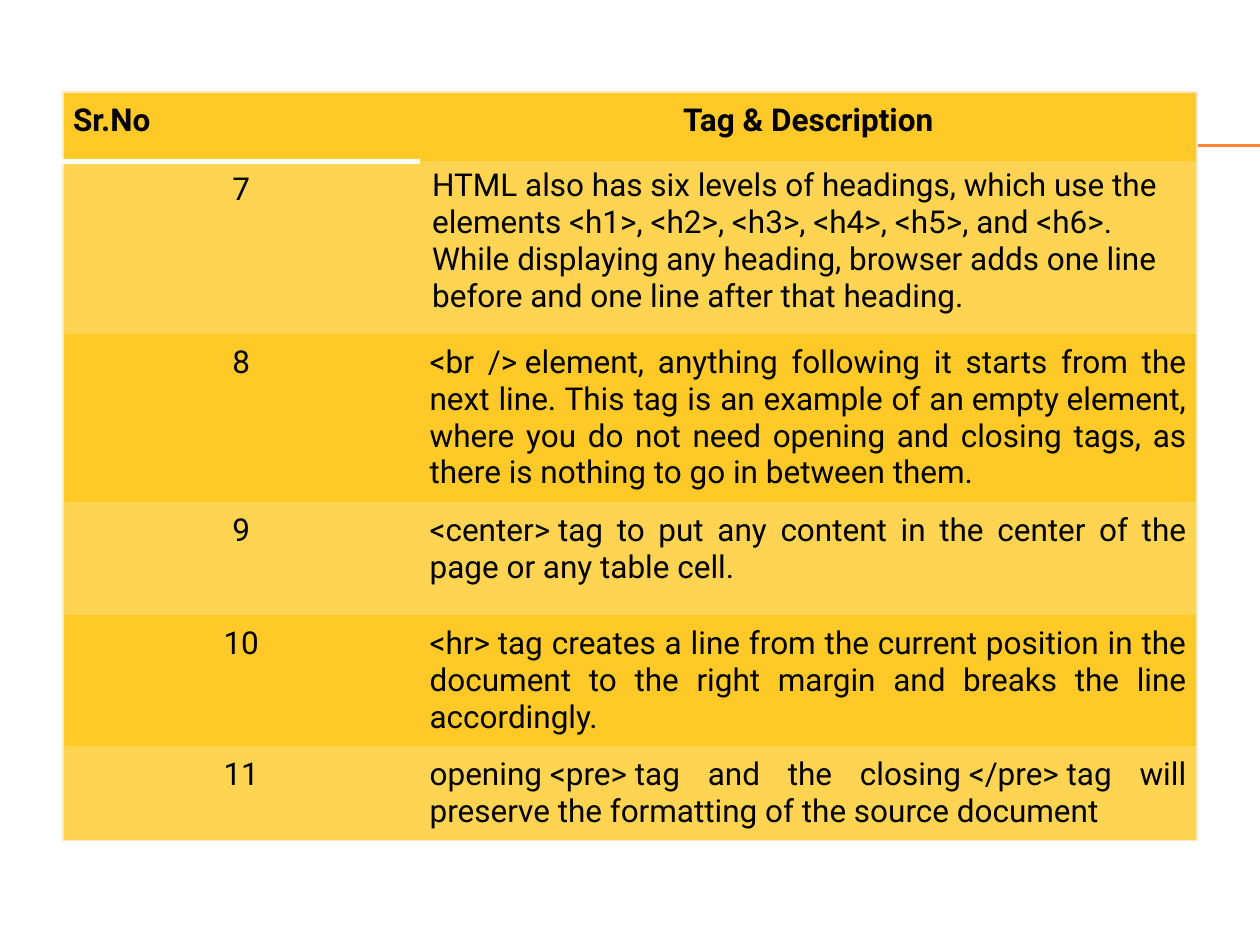
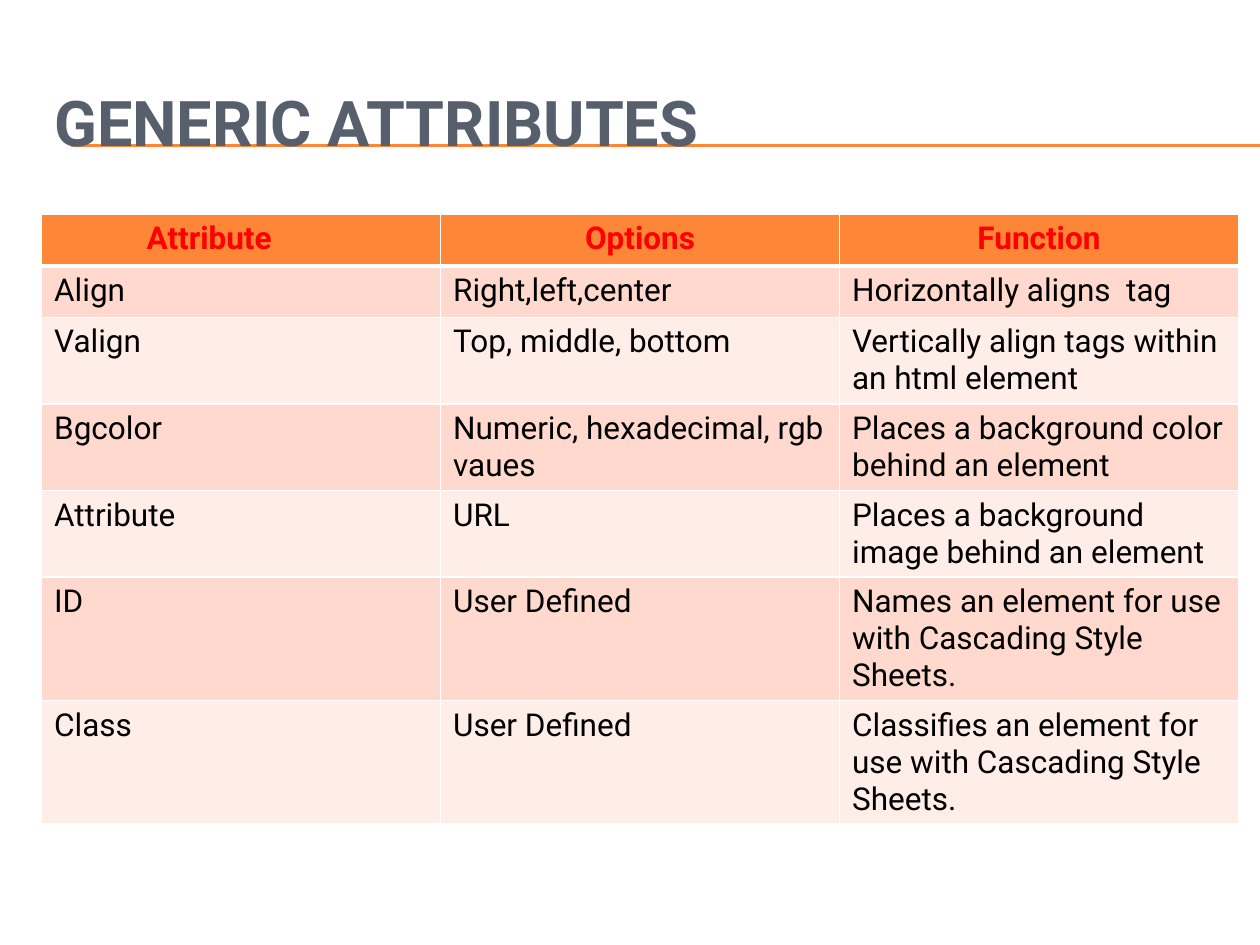
from lxml import etree
from pptx import Presentation
from pptx import util as u
from pptx.dml.color import RGBColor
from pptx.enum import shapes, text
from pptx.oxml.ns import qn

ORANGE = RGBColor(0xFE, 0x86, 0x37)
SLATE = RGBColor(0x57, 0x5F, 0x6D)
BLACK = RGBColor(0, 0, 0)
RED = RGBColor(0xFF, 0, 0)
WHITE = RGBColor(0xFF, 0xFF, 0xFF)
AMBER = RGBColor(0xFF, 0xCA, 0x28)
LIGHT_AMBER = RGBColor(0xFF, 0xD4, 0x53)
CREAM = RGBColor(0xFA, 0xE8, 0xBE)
PEACH = RGBColor(0xFF, 0xD9, 0xCE)
PALE_PEACH = RGBColor(0xFF, 0xED, 0xE8)

FONT = "Roboto"
PLAIN_TABLE_STYLE = "{2D5ABB26-0587-4C30-8999-92F81FD0307C}"
LEFT, CENTER, JUSTIFY = (text.PP_ALIGN.LEFT, text.PP_ALIGN.CENTER,
                         text.PP_ALIGN.JUSTIFY)
RULE_LEFT = 0.56
RULE_TOPS = (1.15, 1.15, 1.16)

TAG_ROWS = [
    ("Sr.No", "Tag & Description"),
    ("7", "HTML also has six levels of headings, which use the elements\u00a0"
          "<h1>, <h2>, <h3>, <h4>, <h5>,\u00a0and\u00a0<h6>. While displaying "
          "any heading, browser adds one line before and one line after that "
          "heading."),
    ("8", "<br />\u00a0element, anything following it starts from the next "
          "line. This tag is an example of an\u00a0empty\u00a0element, where "
          "you do not need opening and closing tags, as there is nothing to "
          "go in between them."),
    ("9", "<center>\u00a0tag to put any content in the center of the page or "
          "any table cell."),
    ("10", "<hr>\u00a0tag creates a line from the current position in the "
           "document to the right margin and breaks the line accordingly."),
    ("11", "opening\u00a0<pre>\u00a0tag and the closing\u00a0</pre>\u00a0tag "
           "will preserve the formatting of the source document"),
]

ATTRIBUTE_ROWS = [
    ("Attribute \t", "Options", "Function"),
    ("Align", "Right,left,center", "Horizontally aligns  tag"),
    ("Valign", "Top, middle, bottom",
     "Vertically align tags within an html element"),
    ("Bgcolor", "Numeric, hexadecimal, rgb vaues",
     "Places a background color behind an element"),
    ("Attribute", "URL", "Places a background image behind an element"),
    ("ID", "User Defined",
     "Names an element for use with Cascading Style Sheets."),
    ("Class", "User Defined",
     "Classifies an element for use with Cascading Style Sheets."),
]


def format_runs(paragraph, size, color, bold):
    for run in paragraph.runs:
        run.font.name = FONT
        run.font.size = u.Pt(size)
        run.font.bold = bold
        run.font.color.rgb = color


def add_master_rules(presentation, slide):
    """Draw the title rules, then move them to the shared master."""
    for top in RULE_TOPS:
        rule = slide.shapes.add_connector(
            shapes.MSO_CONNECTOR.STRAIGHT, u.Inches(RULE_LEFT), u.Inches(top),
            presentation.slide_width, u.Inches(top))
        rule.line.color.rgb = ORANGE
        rule.line.width = u.Pt(0.75)
        etree.SubElement(rule.element.spPr, qn("a:effectLst"))
        presentation.slide_master.shapes.element.append(rule.element)


def add_title(slide, words):
    title = slide.shapes.title
    title.left, title.top = u.Inches(0.33), u.Inches(0.5)
    title.width, title.height = u.Inches(9.5), u.Inches(0.92)
    title.text_frame.text = words
    title.text_frame.vertical_anchor = text.MSO_ANCHOR.MIDDLE
    paragraph = title.text_frame.paragraphs[0]
    paragraph.alignment = LEFT
    format_runs(paragraph, 36, SLATE, True)


def add_table(slide, rows, left, top, widths, heights):
    frame = slide.shapes.add_table(
        len(rows), len(widths), u.Inches(left), u.Inches(top),
        u.Inches(sum(widths)), u.Inches(sum(heights)))
    table = frame.table
    table.first_row = table.horz_banding = False
    style = table._tbl.tblPr.find(qn("a:tableStyleId"))
    style.text = PLAIN_TABLE_STYLE
    for column, width in zip(table.columns, widths):
        column.width = u.Inches(width)
    for row, height in zip(table.rows, heights):
        row.height = u.Inches(height)
    return table


def set_borders(cell, borders):
    """Borders map a side (L, R, T, B) to a colour and a width in points."""
    properties = cell._tc.get_or_add_tcPr()
    for side in "LRTB":
        if side in borders:
            color, width = borders[side]
            line = etree.SubElement(properties, qn("a:ln" + side),
                                    w=str(u.Pt(width)))
            fill = etree.SubElement(line, qn("a:solidFill"))
            etree.SubElement(fill, qn("a:srgbClr"), val=str(color))


def fill_cell(cell, words, fill, borders, color=BLACK, bold=False,
              alignment=LEFT):
    set_borders(cell, borders)
    cell.fill.solid()
    cell.fill.fore_color.rgb = fill
    cell.text_frame.text = words
    paragraph = cell.text_frame.paragraphs[0]
    paragraph.alignment = alignment
    format_runs(paragraph, 18, color, bold)


def add_tag_table(slide):
    table = add_table(slide, TAG_ROWS, 0.5, 0.73, (2.83, 6.17),
                      (0.55, 1.37, 0.9, 0.9, 0.9, 0.55))
    edge = (CREAM, 0.79)
    last = len(TAG_ROWS) - 1
    for r, row in enumerate(TAG_ROWS):
        for c, words in enumerate(row):
            cell = table.cell(r, c)
            # Cream outline, and a white rule below the first heading
            borders = {"R" if c else "L": edge}
            if r == 0:
                borders["T"] = edge
                if c == 0:
                    borders["B"] = (WHITE, 3)
            elif r == last:
                borders["B"] = edge
            # The first description keeps the default margins and alignment
            first_description = (r, c) == (1, 1)
            if not first_description:
                cell.margin_left = cell.margin_right = u.Inches(0.08)
                cell.margin_top = cell.margin_bottom = u.Inches(0.08)
            if (r, c) == (0, 0) or first_description:
                alignment = LEFT
            else:
                alignment = JUSTIFY if r and c else CENTER
            fill_cell(cell, words, LIGHT_AMBER if r % 2 else AMBER, borders,
                      bold=r == 0, alignment=alignment)


def add_attribute_table(slide):
    table = add_table(slide, ATTRIBUTE_ROWS, 0.33, 1.7, [9.5 / 3] * 3,
                      [0.41] * len(ATTRIBUTE_ROWS))
    for r, row in enumerate(ATTRIBUTE_ROWS):
        for c, words in enumerate(row):
            borders = dict.fromkeys("LRTB", (WHITE, 1))
            if r == 0:
                borders["B"] = (WHITE, 3)
                fill_cell(table.cell(r, c), words, ORANGE, borders, RED, True,
                          CENTER)
            else:
                if r == 1:
                    borders["T"] = (WHITE, 3)
                fill_cell(table.cell(r, c), words,
                          PEACH if r % 2 else PALE_PEACH, borders)


def main():
    presentation = Presentation()
    presentation.slide_width = u.Inches(10)
    presentation.slide_height = u.Inches(7.5)
    title_only = presentation.slide_layouts[5]
    blank = presentation.slide_layouts[6]

    # Tags 7 to 11
    slide = presentation.slides.add_slide(blank)
    add_master_rules(presentation, slide)
    add_tag_table(slide)

    # Generic attributes
    slide = presentation.slides.add_slide(title_only)
    add_title(slide, "GENERIC ATTRIBUTES")
    add_attribute_table(slide)

    presentation.save("out.pptx")


main()
